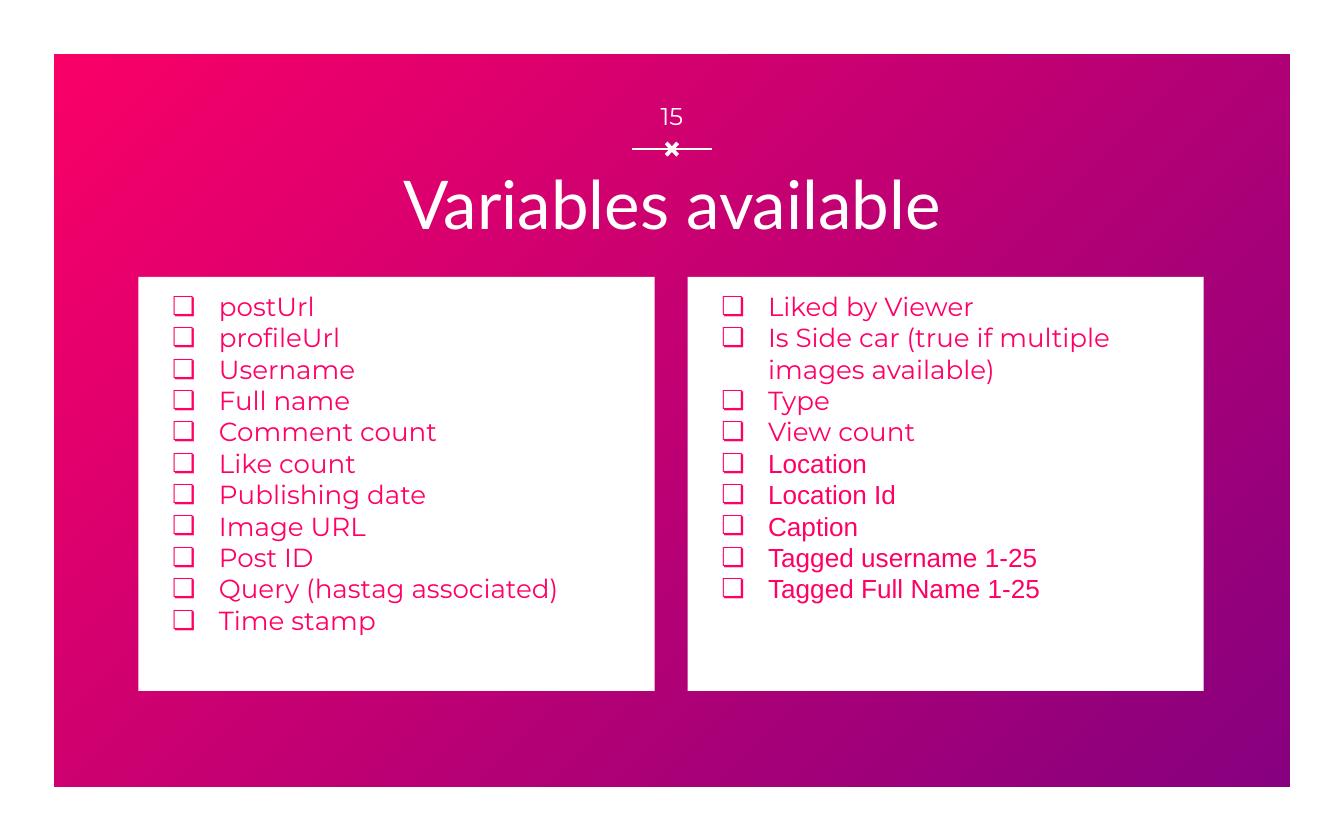
from dataclasses import dataclass

import pptx
import pptx.dml.color
import pptx.enum.shapes
import pptx.enum.text
import pptx.oxml
import pptx.oxml.ns
import pptx.util
from lxml import etree

Pt = pptx.util.Pt
ALIGN = pptx.enum.text.PP_ALIGN
ANCHOR = pptx.enum.text.MSO_ANCHOR
SHAPE = pptx.enum.shapes.MSO_SHAPE

COLORS = {"pink": "FF0066", "purple": "800080", "white": "FFFFFF"}
WIDTH, HEIGHT = 720, 450
INSET = 7.2
CARD_TOP, CARD_WIDTH, CARD_HEIGHT = 148.3, 276.5, 221.8


@dataclass
class Item:
    text: str
    font: str = "Montserrat"


@dataclass
class Card:
    left: float
    items: list[Item]


CARDS = [
    Card(74.2, [Item(t) for t in (
        "postUrl", "profileUrl", "Username", "Full name", "Comment count",
        "Like count", "Publishing date", "Image URL", "Post ID",
        "Query (hastag associated)", "Time stamp")]),
    Card(368.4, [Item(t) for t in (
        "Liked by Viewer", "Is Side car (true if multiple images available)",
        "Type", "View count")] + [Item(t, "Arial") for t in (
            "Location", "Location Id", "Caption", "Tagged username 1-25",
            "Tagged Full Name 1-25")]),
]


def rgb(name: str) -> pptx.dml.color.RGBColor:
    return pptx.dml.color.RGBColor.from_string(COLORS[name])


def set_attributes(target, values: dict) -> None:
    for name, value in values.items():
        setattr(target, name, value)


def set_background(s) -> None:
    fill = s.background.fill
    fill.gradient()
    fill.gradient_angle = 315
    for stop, position, color in zip(fill.gradient_stops, (0, 1), ("pink", "purple")):
        stop.position = position
        stop.color.rgb = rgb(color)


def add_white_shape(s, kind, left: float, top: float, width: float, height: float):
    sp = s.shapes.add_shape(kind, Pt(left), Pt(top), Pt(width), Pt(height))
    sp.shadow.inherit = False
    sp.fill.solid()
    sp.fill.fore_color.rgb = rgb("white")
    sp.line.fill.background()
    return sp


def format_frame(tf, anchor) -> None:
    set_attributes(tf, {
        "word_wrap": True, "auto_size": pptx.enum.text.MSO_AUTO_SIZE.NONE,
        "vertical_anchor": anchor,
        "margin_left": Pt(INSET), "margin_right": Pt(INSET),
        "margin_top": Pt(INSET), "margin_bottom": Pt(INSET)})


def add_run(p, text: str, font: str, size: float, color: str) -> None:
    r = p.add_run()
    r.text = text
    set_attributes(r.font, {"name": font, "size": Pt(size), "bold": False})
    r.font.color.rgb = rgb(color)


def write_centred(sp, text: str, font: str, size: float) -> None:
    format_frame(sp.text_frame, ANCHOR.MIDDLE)
    p = sp.text_frame.paragraphs[0]
    p.alignment = ALIGN.CENTER
    add_run(p, text, font, size, "white")


def add_checkbox_bullet(p) -> None:
    qn = pptx.oxml.ns.qn
    pPr = p._p.get_or_add_pPr()
    pPr.set("marL", str(Pt(36)))
    pPr.set("indent", str(-Pt(25)))
    color = etree.SubElement(pPr, qn("a:buClr"))
    etree.SubElement(color, qn("a:srgbClr"), val=COLORS["pink"])
    etree.SubElement(pPr, qn("a:buFont"), typeface="Montserrat")
    etree.SubElement(pPr, qn("a:buChar"), char="❏")


def add_card(s, card: Card) -> None:
    sp = add_white_shape(s, SHAPE.RECTANGLE, card.left, CARD_TOP, CARD_WIDTH, CARD_HEIGHT)
    tf = sp.text_frame
    format_frame(tf, ANCHOR.TOP)
    for i, item in enumerate(card.items):
        p = tf.add_paragraph() if i else tf.paragraphs[0]
        p.alignment = ALIGN.LEFT
        add_checkbox_bullet(p)
        add_run(p, item.text, item.font, 14, "pink")


def add_divider(s) -> None:
    line = s.shapes.add_connector(
        pptx.enum.shapes.MSO_CONNECTOR.STRAIGHT, Pt(338.4), Pt(79.9), Pt(381.6), Pt(79.9))
    line.line.width = Pt(0.75)
    line.line.color.rgb = rgb("white")
    etree.SubElement(line._element.spPr, pptx.oxml.ns.qn("a:effectLst"))
    cross = add_white_shape(s, SHAPE.MATH_MULTIPLY, 354.1, 73.5, 11.8, 12.8)
    cross.adjustments[0] = 0.174


def main() -> None:
    prs = pptx.Presentation()
    set_attributes(prs, {"slide_width": Pt(WIDTH), "slide_height": Pt(HEIGHT)})
    s = prs.slides.add_slide(prs.slide_layouts[5])
    set_background(s)

    border = add_white_shape(s, SHAPE.FRAME, 0, 0, WIDTH, HEIGHT + 0.5)
    border.adjustments[0] = 0.064
    add_divider(s)

    title = s.shapes.title
    set_attributes(title, {"left": Pt(26), "top": Pt(91.4),
                           "width": Pt(668), "height": Pt(34.6)})
    write_centred(title, "Variables available", "Lato", 36)

    for card in CARDS:
        add_card(s, card)

    number = s.shapes.add_textbox(Pt(338.4), Pt(44.6), Pt(43.2), Pt(34.6))
    write_centred(number, "15", "Montserrat", 13)
    prs.save("out.pptx")


if __name__ == "__main__":
    main()
